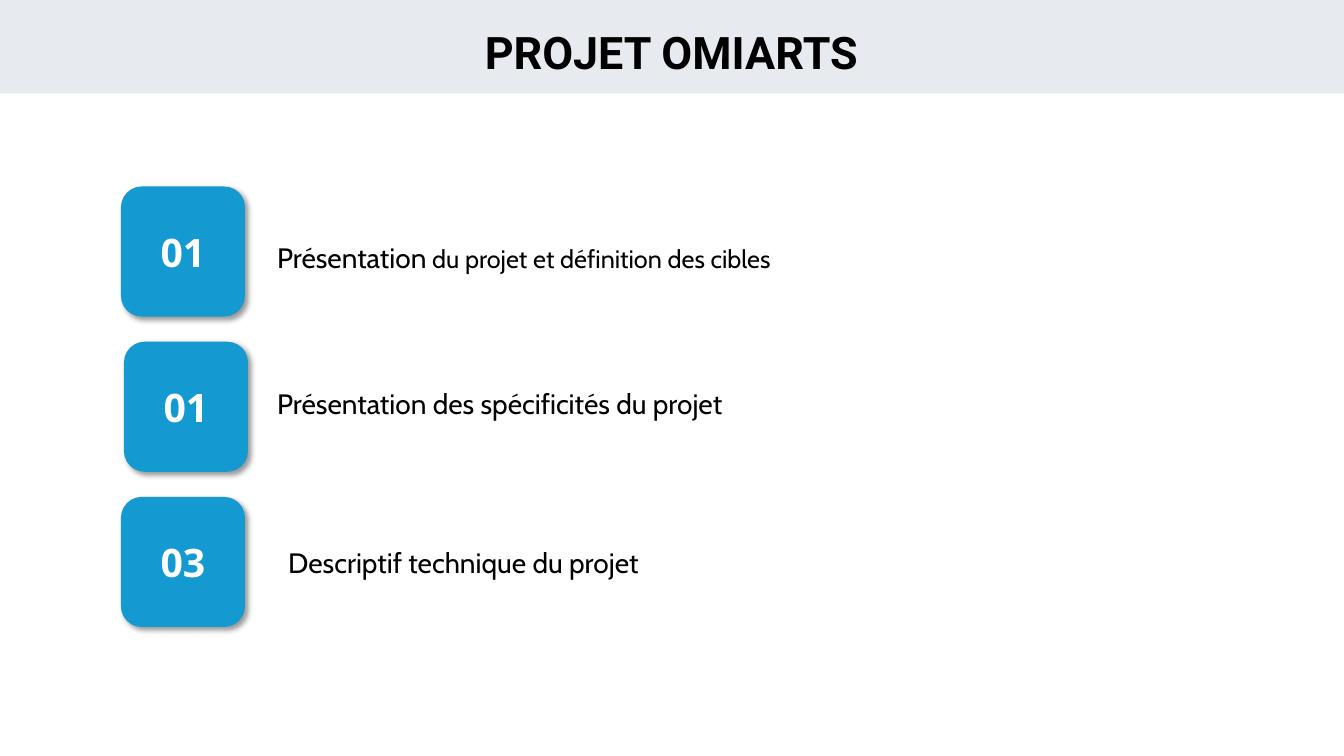
from lxml import etree
from pptx import Presentation
from pptx.dml.color import RGBColor
from pptx.enum.shapes import MSO_SHAPE
from pptx.enum.text import MSO_ANCHOR, MSO_AUTO_SIZE, PP_ALIGN
from pptx.oxml.ns import qn
from pptx.util import Inches, Pt

RECTANGLE = MSO_SHAPE.RECTANGLE
ROUNDED = MSO_SHAPE.ROUNDED_RECTANGLE
MIDDLE = MSO_ANCHOR.MIDDLE
GROW = MSO_AUTO_SIZE.SHAPE_TO_FIT_TEXT
LEFT, CENTER = PP_ALIGN.LEFT, PP_ALIGN.CENTER

SLIDE_WIDTH, SLIDE_HEIGHT = 13.33, 7.5
BLACK, WHITE, BAND_GREY, TILE_BLUE = "000000", "FFFFFF", "E7EAEF", "149AD1"

# Agenda grid: equal rows of numbered tiles
FIRST_ROW, ROW_STEP = 1.85, 1.54
TILE_WIDTH, TILE_HEIGHT = 1.23, 1.29
LABEL_HEIGHT = 0.44

# Number, tile left, label left, label offset in its row, label width, runs
AGENDA = [
    ("01", 1.2, 2.65, 0.49, 5.94,
     [("Présentation", 20), (" du projet et définition des cibles", 18)]),
    ("01", 1.23, 2.65, 0.4, 4.98,
     [("Présentation des spécificités du projet", 20)]),
    ("03", 1.2, 2.76, 0.43, 4.34,
     [("Descriptif technique du projet", 20)]),
]


def color(value):
    return RGBColor.from_string(value)


def write_runs(frame, runs, font, fill, bold=False, align=LEFT):
    paragraph = frame.paragraphs[0]
    paragraph.alignment = align
    for text, size in runs:
        run = paragraph.add_run()
        run.text = text
        run.font.name = font
        run.font.size = Pt(size)
        run.font.bold = bold
        run.font.color.rgb = color(fill)


def add_block(slide, preset, left, top, width, height, fill):
    shape = slide.shapes.add_shape(
        preset, Inches(left), Inches(top), Inches(width), Inches(height))
    shape.shadow.inherit = False
    shape.fill.solid()
    shape.fill.fore_color.rgb = color(fill)
    shape.line.fill.background()
    return shape


def add_text(slide, left, top, width, height, runs, font, **style):
    box = slide.shapes.add_textbox(
        Inches(left), Inches(top), Inches(width), Inches(height))
    box.text_frame.word_wrap = True
    box.text_frame.auto_size = GROW
    write_runs(box.text_frame, runs, font, BLACK, **style)


def add_soft_shadow(shape):
    effects = shape._element.spPr.find(qn("a:effectLst"))
    shadow = etree.SubElement(
        effects, qn("a:outerShdw"), blurRad=str(Pt(4)), dist=str(Pt(3)),
        dir=str(45 * 60000), algn="tl", rotWithShape="0")
    tint = etree.SubElement(shadow, qn("a:srgbClr"), val=BLACK)
    etree.SubElement(tint, qn("a:alpha"), val="40000")


def add_tile(slide, left, top, number):
    tile = add_block(slide, ROUNDED, left, top, TILE_WIDTH, TILE_HEIGHT, TILE_BLUE)
    add_soft_shadow(tile)
    tile.text_frame.vertical_anchor = MIDDLE
    write_runs(tile.text_frame, [(number, 28)], "Open Sans", WHITE,
               bold=True, align=CENTER)


def main():
    presentation = Presentation()
    presentation.slide_width = Inches(SLIDE_WIDTH)
    presentation.slide_height = Inches(SLIDE_HEIGHT)
    slide = presentation.slides.add_slide(presentation.slide_layouts[6])

    # Title band
    add_block(slide, RECTANGLE, 0, 0, SLIDE_WIDTH, 0.93, BAND_GREY)
    add_text(slide, 4.34, 0.2, 4.64, 0.64, [("PROJET OMIARTS", 32)], "Roboto",
             bold=True, align=CENTER)

    # Agenda rows
    for row, (number, tile_left, left, offset, width, runs) in enumerate(AGENDA):
        top = FIRST_ROW + row * ROW_STEP
        add_tile(slide, tile_left, top, number)
        add_text(slide, left, top + offset, width, LABEL_HEIGHT, runs, "Cabin")

    presentation.save("out.pptx")


if __name__ == "__main__":
    main()
